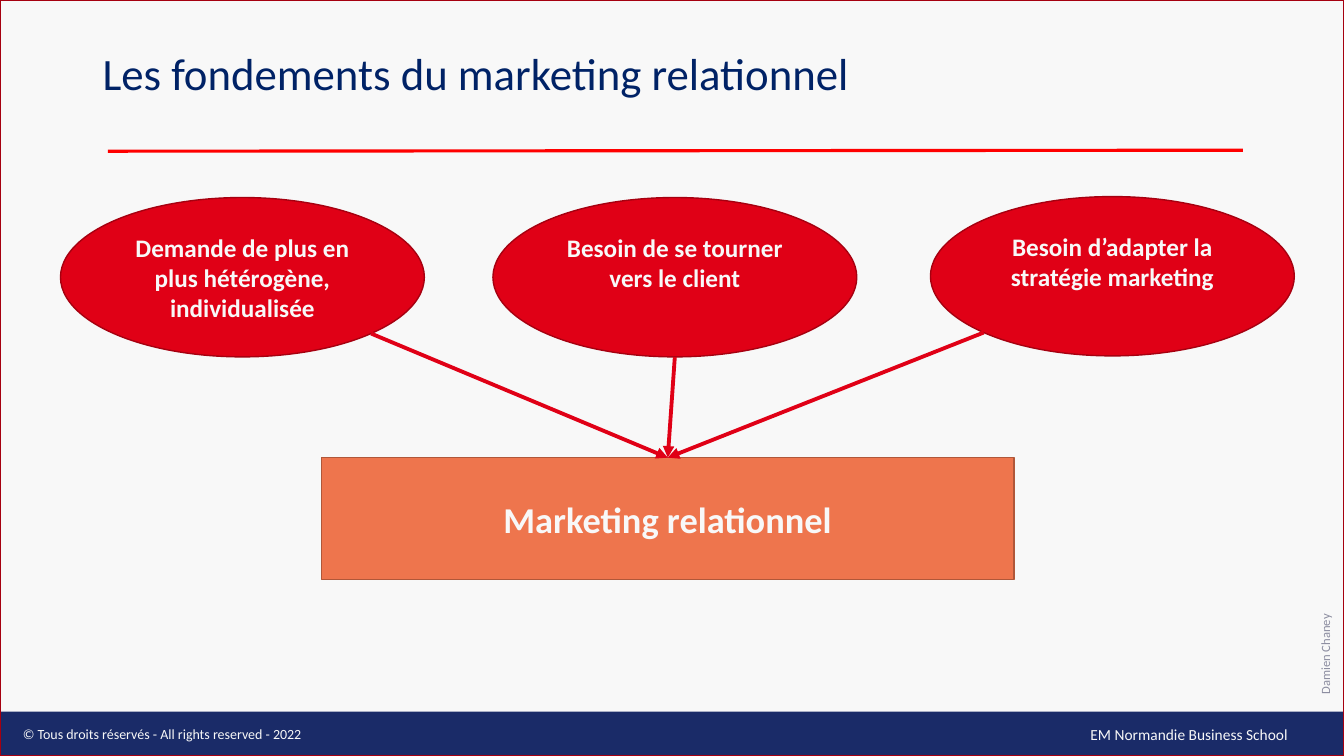
from dataclasses import dataclass
from math import sqrt

from lxml import etree
from pptx import Presentation
from pptx.dml.color import RGBColor
from pptx.enum.shapes import MSO_CONNECTOR, MSO_SHAPE
from pptx.enum.text import MSO_ANCHOR, PP_ALIGN
from pptx.oxml.ns import qn
from pptx.shapes.autoshape import Shape
from pptx.shapes.connector import Connector
from pptx.slide import Slide
from pptx.util import Pt

RECTANGLE, OVAL = MSO_SHAPE.RECTANGLE, MSO_SHAPE.OVAL
STRAIGHT = MSO_CONNECTOR.STRAIGHT
TOP, MIDDLE = MSO_ANCHOR.TOP, MSO_ANCHOR.MIDDLE
LEFT, CENTER = PP_ALIGN.LEFT, PP_ALIGN.CENTER
TOP_SITE = 0


@dataclass(frozen=True)
class Theme:
    font: str = "Calibri"
    light: str = "F8F8F8"
    navy: str = "1A2B68"
    title: str = "002266"
    red: str = "E00016"
    dark_red: str = "A60010"
    rule: str = "FF0000"
    orange: str = "EE754D"
    brown: str = "B05739"
    grey: str = "8C8DA0"
    title_size: float = 32
    result_size: float = 26
    driver_size: float = 18
    school_size: float = 11
    rights_size: float = 10
    author_size: float = 9


THEME = Theme()


@dataclass(frozen=True)
class Area:
    left: float
    top: float
    width: float
    height: float

    def lengths(self) -> tuple[Pt, Pt, Pt, Pt]:
        return Pt(self.left), Pt(self.top), Pt(self.width), Pt(self.height)


@dataclass(frozen=True)
class Driver:
    text: str
    left: float
    top: float
    side: int  # where the arrow leaves: 1 lower right, 0 bottom, -1 lower left
    bottom_inset: float = 3.6


@dataclass(frozen=True)
class Label:
    text: str
    area: Area
    size: float
    color: str
    anchor: MSO_ANCHOR = TOP
    line_spacing: float = 1.0
    direction: str = "horz"


DRIVER_WIDTH, DRIVER_HEIGHT = 259.9, 113.8
DRIVERS = [
    Driver("Demande de plus en plus hétérogène, individualisée", 43.2, 141.1, 1),
    Driver("Besoin de se tourner vers le client", 352.1, 141.1, 0, 25.2),
    Driver("Besoin d’adapter la stratégie marketing", 664.6, 140.4, -1, 25.2),
]
RESULT = Area(229.7, 326.9, 494.6, 87.1)
LABELS = [
    Label("EM Normandie Business School", Area(771.8, 514.1, 176.4, 20.9),
          THEME.school_size, THEME.light),
    Label("© Tous droits réservés - All rights reserved - 2022",
          Area(9.2, 514.8, 318.4, 19.4), THEME.rights_size, THEME.light),
    Label("Les fondements du marketing relationnel", Area(66.2, 28.8, 828, 51.1),
          THEME.title_size, THEME.title, MIDDLE, 0.9),
    Label("Damien Chaney", Area(938.2, 35.3, 16.6, 468),
          THEME.author_size, THEME.grey, MIDDLE, 1.0, "vert270"),
]


def rgb(color: str) -> RGBColor:
    return RGBColor.from_string(color)


def write(shape: Shape, text: str, size: float, color: str, bold: bool = False,
          align: PP_ALIGN = CENTER, anchor: MSO_ANCHOR = MIDDLE) -> None:
    frame = shape.text_frame
    frame.word_wrap = True
    frame.vertical_anchor = anchor
    paragraph = frame.paragraphs[0]
    paragraph.alignment = align
    run = paragraph.add_run()
    run.text = text
    run.font.name = THEME.font
    run.font.size = Pt(size)
    run.font.bold = bold
    run.font.color.rgb = rgb(color)


def add_figure(slide: Slide, kind: MSO_SHAPE, area: Area,
               fill: str | None, line: str | None) -> Shape:
    figure = slide.shapes.add_shape(kind, *area.lengths())
    figure.shadow.inherit = False
    if fill:
        figure.fill.solid()
        figure.fill.fore_color.rgb = rgb(fill)
    else:
        figure.fill.background()
    if line:
        figure.line.color.rgb = rgb(line)
        figure.line.width = Pt(1)
    else:
        figure.line.fill.background()
    return figure


def add_label(slide: Slide, label: Label) -> None:
    box = slide.shapes.add_textbox(*label.area.lengths())
    write(box, label.text, label.size, label.color, align=LEFT, anchor=label.anchor)
    box.text_frame.paragraphs[0].line_spacing = label.line_spacing
    box.text_frame._txBody.bodyPr.set("vert", label.direction)


def add_line(slide: Slide, start: tuple[float, float], end: tuple[float, float],
             color: str, width: float) -> Connector:
    line = slide.shapes.add_connector(
        STRAIGHT, Pt(start[0]), Pt(start[1]), Pt(end[0]), Pt(end[1]))
    line.line.color.rgb = rgb(color)
    line.line.width = Pt(width)
    etree.SubElement(line._element.spPr, qn("a:effectLst"))
    return line


def add_arrow(slide: Slide, driver: Driver, result: Shape) -> None:
    # A diagonal arrow leaves the ellipse at 45 degrees
    reach = 1 / sqrt(2) if driver.side else 1
    start = (driver.left + DRIVER_WIDTH / 2 * (1 + driver.side * reach),
             driver.top + DRIVER_HEIGHT / 2 * (1 + reach))
    end = (RESULT.left + RESULT.width / 2, RESULT.top)
    arrow = add_line(slide, start, end, THEME.red, 2.75)
    arrow.end_connect(result, TOP_SITE)
    etree.SubElement(arrow.line._get_or_add_ln(), qn("a:tailEnd"), type="triangle")


def main() -> None:
    deck = Presentation()
    deck.slide_width, deck.slide_height = Pt(960), Pt(540)
    slide = deck.slides.add_slide(deck.slide_layouts[6])
    slide.background.fill.solid()
    slide.background.fill.fore_color.rgb = rgb(THEME.light)

    # Footer band, page frame and title rule
    add_figure(slide, RECTANGLE, Area(0, 508.3, 960, 31.7), THEME.navy, None)
    add_figure(slide, RECTANGLE, Area(0, 0, 960, 540), None, THEME.dark_red)
    add_line(slide, (77, 108), (887.8, 107.3), THEME.rule, 2.25)

    # Title, footer and author
    for label in LABELS:
        add_label(slide, label)

    # Drivers
    for driver in DRIVERS:
        area = Area(driver.left, driver.top, DRIVER_WIDTH, DRIVER_HEIGHT)
        ellipse = add_figure(slide, OVAL, area, THEME.red, THEME.dark_red)
        write(ellipse, driver.text, THEME.driver_size, THEME.light, bold=True)
        ellipse.text_frame.margin_bottom = Pt(driver.bottom_inset)

    # Result and the arrows leading to it
    result = add_figure(slide, RECTANGLE, RESULT, THEME.orange, THEME.brown)
    write(result, "Marketing relationnel", THEME.result_size, THEME.light, bold=True)
    for driver in DRIVERS:
        add_arrow(slide, driver, result)

    deck.save("out.pptx")


if __name__ == "__main__":
    main()
